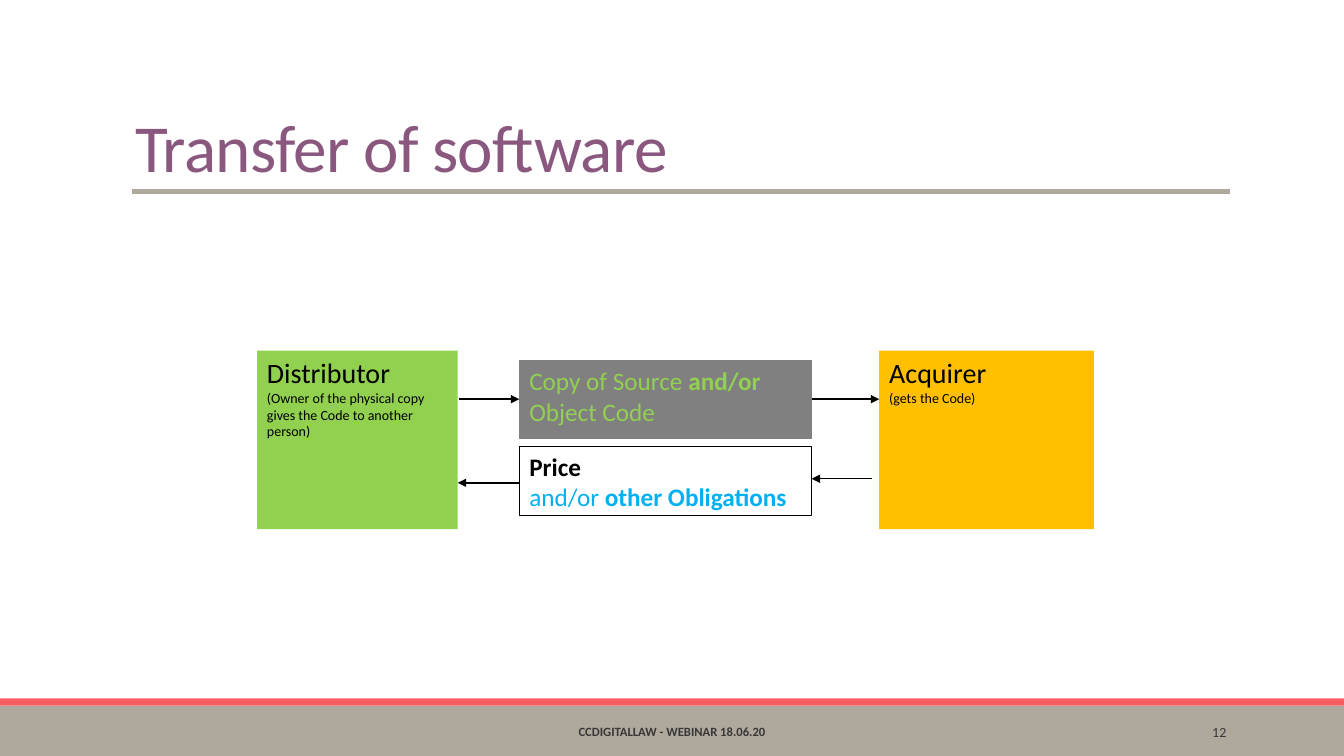
from collections import namedtuple

from lxml.etree import SubElement
from pptx import Presentation
from pptx.dml.color import RGBColor
from pptx.enum.shapes import MSO_CONNECTOR as Connector, MSO_SHAPE as Shape
from pptx.enum.text import MSO_ANCHOR as Anchor, PP_ALIGN as Align
from pptx.oxml.ns import qn
from pptx.util import Inches, Pt

COLORS = {
    "taupe": "AFA89D", "coral": "F95D62", "plum": "8A587F", "dark": "373737",
    "gray": "808080", "green": "92D050", "amber": "FFC000", "blue": "00B0F0",
    "black": "000000",
}
FONT = "Calibri"

Box = namedtuple("Box", "left top width height")
SLIDE = Box(0, 0, Inches(13.33), Inches(7.5))


def part(box, left, top, width, height):
    """Return the part of a box given in percent of its size."""
    return Box(
        int(box.left + box.width * left / 100),
        int(box.top + box.height * top / 100),
        int(box.width * width / 100),
        int(box.height * height / 100),
    )


def color(name):
    return RGBColor.from_string(COLORS[name])


def write(frame, paragraphs, align=Align.LEFT, anchor=Anchor.TOP, wrap=True):
    """Fill a frame with paragraphs, each a list of (text, format) spans."""
    frame.word_wrap = wrap
    frame.vertical_anchor = anchor
    for index, spans in enumerate(paragraphs):
        para = frame.add_paragraph() if index else frame.paragraphs[0]
        para.alignment = align
        for text, values in spans:
            span = para.add_run()
            span.text = text
            for key, value in {"name": FONT, "bold": False, **values}.items():
                if key == "color":
                    span.font.color.rgb = color(value)
                else:
                    setattr(span.font, key, value)


def add_panel(page, box, fill=None, line=None):
    panel = page.shapes.add_shape(Shape.RECTANGLE, *box)
    panel.shadow.inherit = False
    if fill:
        panel.fill.solid()
        panel.fill.fore_color.rgb = color(fill)
    else:
        panel.fill.background()
    if line:
        panel.line.color.rgb = color(line)
        panel.line.width = Pt(0.75)
    else:
        panel.line.fill.background()
    return panel


def add_line(page, box, start, end, stroke, width, arrow=False):
    """Draw a line between two points given in percent of a box."""
    first, last = (part(box, *point, 0, 0) for point in (start, end))
    line = page.shapes.add_connector(
        Connector.STRAIGHT, first.left, first.top, last.left, last.top)
    line.line.color.rgb = color(stroke)
    line.line.width = Pt(width)
    if arrow:
        SubElement(line.line._get_or_add_ln(), qn("a:tailEnd"), type="triangle")
    SubElement(line._element.spPr, qn("a:effectLst"))


def add_header(page, box):
    title = page.shapes.title
    title.left, title.top, title.width, title.height = part(box, 0, 0, 65.5, 100)
    values = {"size": Pt(48), "color": "plum"}
    write(title.text_frame, [[("Transfer of software", values)]],
          anchor=Anchor.BOTTOM)
    para = title.text_frame.paragraphs[0]
    para.line_spacing = 0.85
    para.runs[0].font._element.set("spc", "-50")
    add_line(page, box, (0.64, 100), (100, 100), "taupe", 3)


def add_footer(page, box):
    # Coloured bands
    add_panel(page, part(box, 0, 12.28, 100, 87.72), "taupe")
    add_panel(page, part(box, 0, 0, 100, 12.28), "coral")
    # Event name and page number
    labels = [
        (30.23, 39.53, "CCDIGITALLAW - WEBINAR 18.06.20", Align.CENTER,
         {"size": Pt(9), "bold": True}),
        (81.25, 10.73, "12", Align.RIGHT, {"size": Pt(10)}),
    ]
    for left, width, text, align, values in labels:
        label = page.shapes.add_textbox(*part(box, left, 22.81, width, 70.18))
        write(label.text_frame, [[(text, {"color": "dark", **values})]],
              align, Anchor.MIDDLE)


def add_diagram(page, box):
    name = {"size": Pt(20), "color": "black"}
    note = {"size": Pt(10), "color": "black"}
    goods = {"size": Pt(18), "color": "green"}
    price = {"size": Pt(18), "color": "black", "bold": True}
    duty = {"size": Pt(18), "color": "blue"}

    # What changes hands, then the two parties
    panels = [
        ((31.33, 5.65, 34.94, 43.5), "gray", "gray", True, [
            [("Copy of Source ", goods), ("and/or ", {**goods, "bold": True}),
             ("Object Code", goods)]]),
        ((31.33, 53.67, 34.94, 38.42), None, "black", False, [
            [("Price", price)],
            [("and/or ", duty), ("other Obligations", {**duty, "bold": True})]]),
        ((0, 0, 23.98, 100), "green", None, True, [
            [("Distributor", name)],
            [("(Owner of the physical copy", note)],
            [("gives the Code to another person)", note)]]),
        ((74.34, 0, 25.66, 100), "amber", None, True, [
            [("Acquirer", name)],
            [("(gets the Code)", note)]]),
    ]
    for shares, fill, line, wrap, paragraphs in panels:
        panel = add_panel(page, part(box, *shares), fill, line)
        write(panel.text_frame, paragraphs, wrap=wrap)

    # Arrows: goods to the right, payment to the left
    arrows = [(24.1, 31.33, 27.12), (66.27, 74.34, 27.12),
              (73.49, 66.27, 71.75), (31.33, 23.98, 74.01)]
    for start, end, height in arrows:
        add_line(page, box, (start, height), (end, height), "black", 1, True)


def main():
    deck = Presentation()
    deck.slide_width, deck.slide_height = SLIDE.width, SLIDE.height
    page = deck.slides.add_slide(deck.slide_layouts[5])
    add_footer(page, part(SLIDE, 0, 92.4, 100, 7.6))
    add_header(page, part(SLIDE, 9.3, 4.13, 82.22, 21.2))
    add_diagram(page, part(SLIDE, 19.13, 46.4, 62.27, 23.6))
    deck.save("out.pptx")


if __name__ == "__main__":
    main()
